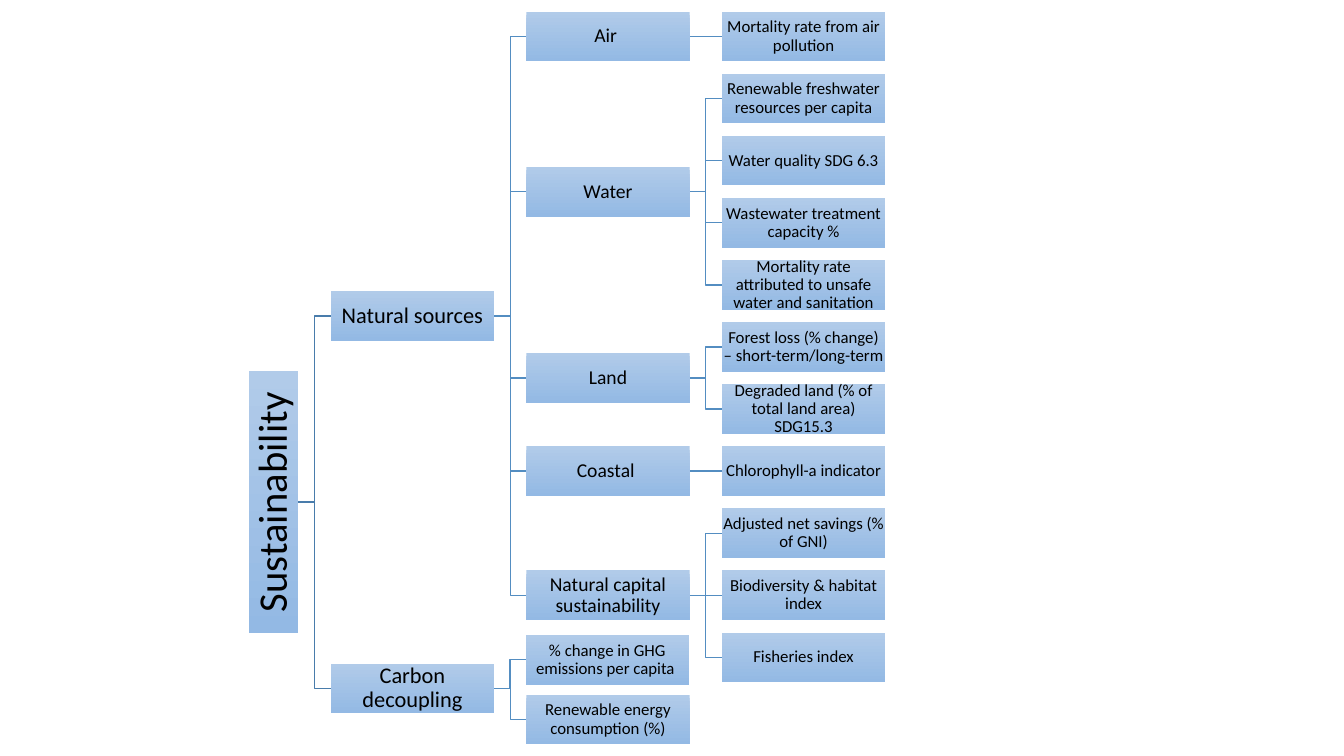
from dataclasses import dataclass, field
from itertools import count

from pptx import Presentation
from pptx import util as u
from pptx.dml.color import RGBColor
from pptx.enum import shapes, text
from pptx.oxml import parse_xml
from pptx.oxml.ns import nsdecls, qn

COLORS = {"top": "B1CBE9", "bottom": "93B9E4", "text": "000000",
          "trunk": "497CAB", "branch": "538DC1"}
FONT = "Calibri"

# Grid, in points
BOX_W, BOX_H = 116.6, 35.5
COL_LEFT, COL_PITCH = 236.3, 139.7
ROW_TOP, ROW_PITCH = 26.1, 44.35
GAP = COL_PITCH - BOX_W
ROOT_LEN = 186.8
LEVEL_SIZES = [29, 16, 14]
LEAF_SIZE = 12
# First row of the leaves on each level
LEAF_START = {2: 10, 3: 0}

# Each node: a label and its children
TREE = ("Sustainability", [
    ("Natural sources", [
        ("Air ", [("Mortality rate from air pollution", [])]),
        ("Water", [
            ("Renewable freshwater resources per capita", []),
            ("Water quality SDG 6.3", []),
            ("Wastewater treatment capacity %", []),
            ("Mortality rate attributed to unsafe water and sanitation", [])]),
        ("Land", [
            ("Forest loss (% change) – short-term/long-term", []),
            ("Degraded land (% of total land area) SDG15.3", [])]),
        ("Coastal ", [("Chlorophyll-a indicator", [])]),
        ("Natural capital sustainability", [
            ("Adjusted net savings (% of GNI)", []),
            ("Biodiversity & habitat index", []),
            ("Fisheries index", [])])]),
    ("Carbon decoupling", [
        ("% change in GHG emissions per capita ", []),
        ("Renewable energy consumption (%)", [])])])
# Boxes placed slightly off the grid: dx, dy
NUDGES = {"% change in GHG emissions per capita ": (-0.5, 1.7)}


@dataclass
class Node:
    label: str
    level: int
    row: float
    children: list = field(default_factory=list)

    @property
    def left(self):
        if self.level == 0:
            return COL_LEFT - GAP - BOX_H
        dx = NUDGES.get(self.label, (0, 0))[0]
        return COL_LEFT + (self.level - 1) * COL_PITCH + dx

    @property
    def right(self):
        return self.left + (BOX_W if self.level else BOX_H)

    @property
    def mid_y(self):
        return ROW_TOP + self.row * ROW_PITCH + NUDGES.get(self.label, (0, 0))[1]


def lay_out(item, rows, level=0):
    """Leaves take the next row of their level; parents are centred on children."""
    label, items = item
    children = [lay_out(child, rows, level + 1) for child in items]
    if children:
        row = (children[0].row + children[-1].row) / 2
    else:
        row = next(rows[level])
    return Node(label, level, row, children)


def rgb(name):
    return RGBColor.from_string(COLORS[name])


def add_link(s, parent, child):
    x1, y1, x2, y2 = map(u.Pt, (parent.right, parent.mid_y, child.left, child.mid_y))
    if y1 == y2:
        sp = s.shapes.add_connector(shapes.MSO_CONNECTOR.STRAIGHT, x1, y1, x2, y2)
        sp._element.spPr.append(parse_xml(f"<a:effectLst {nsdecls('a')}/>"))
    else:
        bend = (x1 + x2) // 2
        builder = s.shapes.build_freeform(x1, y1)
        builder.add_line_segments([(bend, y1), (bend, y2), (x2, y2)], close=False)
        sp = builder.convert_to_shape()
        sp.fill.background()
        sp.shadow.inherit = False
    sp.line.color.rgb = rgb("branch" if parent.level else "trunk")
    sp.line.width = u.Pt(1)


def add_box(s, node):
    w = BOX_W if node.level else ROOT_LEN
    mid_x = (node.left + node.right) / 2
    sp = s.shapes.add_shape(
        shapes.MSO_SHAPE.RECTANGLE, u.Pt(mid_x - w / 2),
        u.Pt(node.mid_y - BOX_H / 2), u.Pt(w), u.Pt(BOX_H))
    sp.rotation = 0 if node.level else 270
    sp.shadow.inherit = False
    sp.line.fill.background()

    # Gradient always runs down the slide, also in the turned box
    sp.fill.gradient()
    sp.fill.gradient_angle = 270
    for stop, name in zip(sp.fill.gradient_stops, ("top", "bottom")):
        stop.color.rgb = rgb(name)
    sp._element.spPr.find(qn("a:gradFill")).set("rotWithShape", "0")

    # Label
    tf = sp.text_frame
    tf.text = node.label
    tf.word_wrap = True
    tf.vertical_anchor = text.MSO_ANCHOR.MIDDLE
    inset = u.Pt(0.7 if node.level else 1.4)
    tf.margin_left = tf.margin_right = tf.margin_top = tf.margin_bottom = inset
    p = tf.paragraphs[0]
    p.alignment = text.PP_ALIGN.CENTER
    p.line_spacing = 0.9
    r = p.runs[0]
    r.font.name = FONT
    r.font.size = u.Pt(LEVEL_SIZES[node.level] if node.children else LEAF_SIZE)
    r.font.color.rgb = rgb("text")


def walk(node):
    yield node
    for child in node.children:
        yield from walk(child)


def main():
    prs = Presentation()
    prs.slide_width, prs.slide_height = u.Pt(960), u.Pt(540)
    s = prs.slides.add_slide(prs.slide_layouts[6])
    rows = {level: count(start) for level, start in LEAF_START.items()}
    nodes = list(walk(lay_out(TREE, rows)))

    # Links lie behind the boxes
    for node in nodes:
        for child in node.children:
            add_link(s, node, child)
    for node in nodes:
        add_box(s, node)

    prs.save("out.pptx")


main()
